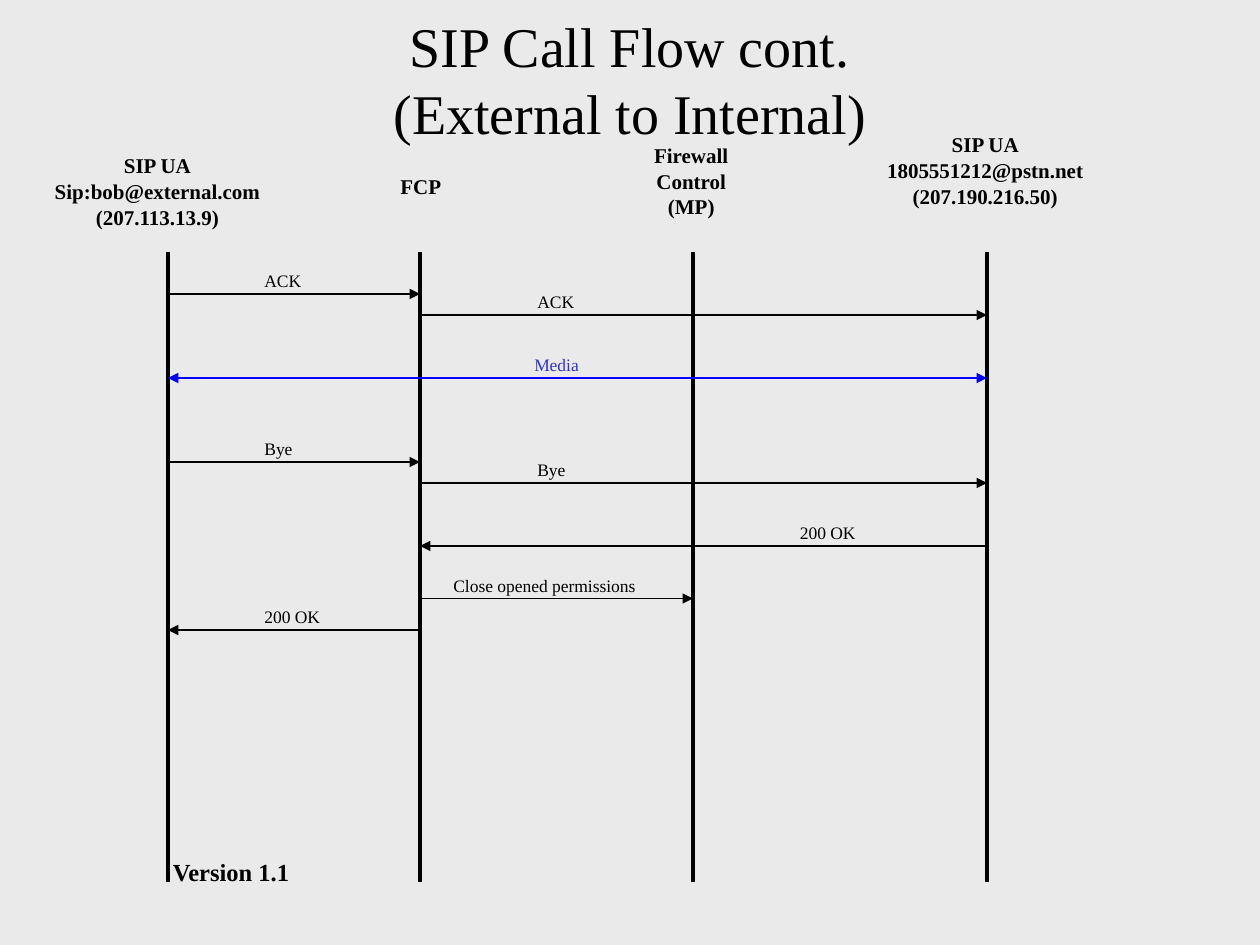
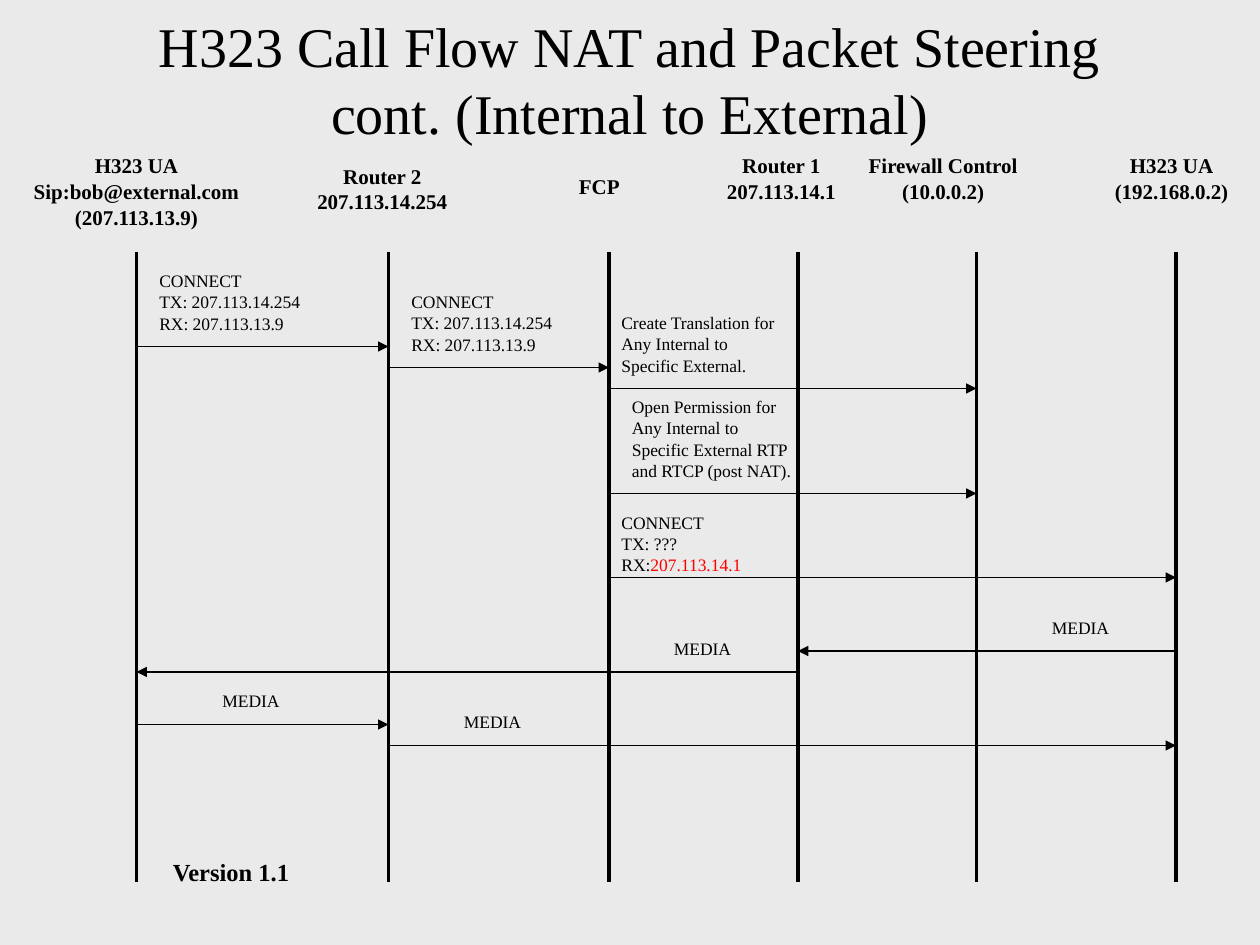
import dataclasses

import lxml.etree
import pptx
import pptx.dml.color
import pptx.enum.shapes
import pptx.enum.text
import pptx.oxml.ns
import pptx.util

Pt = pptx.util.Pt
ALIGN = pptx.enum.text.PP_ALIGN
FIT = pptx.enum.text.MSO_AUTO_SIZE
FONT = "Times New Roman"
PAPER, INK, MEDIA_LINE, MEDIA_TEXT, STEERED = "EAEAEA", "000000", "0000FF", "3333CC", "FF0000"
TITLE_BOX = (0, 0, 720, 90)
HEADING_BOX = (0, 72, 720, 72)
FLOW_BOX = (0, 144, 720, 360)
VERSION_BOX = (18, 486, 228, 36)

TITLE = {"size": Pt(32), "bold": False, "name": FONT}
HEADING = {"size": Pt(12), "bold": True, "name": FONT}
LABEL = {"size": Pt(10), "bold": False, "name": FONT}
VERSION = {"size": Pt(14), "bold": True, "name": FONT}
HEADING_SPACING = {"alignment": ALIGN.CENTER, "line_spacing": 0.5, "space_before": Pt(7.5)}
LABEL_SPACING = {"alignment": ALIGN.LEFT, "line_spacing": 0.5, "space_before": Pt(6.2)}
VERSION_SPACING = {"alignment": ALIGN.CENTER, "space_before": Pt(8.8)}


@dataclasses.dataclass
class Participant:
    """One party of the call: its lifeline and the heading above it."""
    lifeline: float
    left: float
    top: float
    width: float
    text: str


@dataclasses.dataclass
class Message:
    """One arrow between two parties, with its label."""
    sender: int
    receiver: int
    y: float
    left: float
    width: float
    text: str
    rise: float = 12
    wrap: bool = False
    both_ways: bool = False
    line_color: str = INK
    text_color: str = INK
    accent: str = ""
    align: ALIGN = ALIGN.LEFT


def rgb(value):
    """Turn a hex string into a colour."""
    return pptx.dml.color.RGBColor.from_string(value)


def apply(target, formats):
    """Set every attribute named in formats on the target."""
    for name, value in formats.items():
        setattr(target, name, value)


def add_run(paragraph, text, font, color):
    """Add one run of formatted text."""
    run = paragraph.add_run()
    run.text = text
    apply(run.font, font)
    run.font.color.rgb = rgb(color)


def add_text(slide, box, text, font, spacing, color=INK, accent="", wrap=False,
             fit=FIT.SHAPE_TO_FIT_TEXT):
    """Add a text box with one paragraph per line, the accent in its own colour."""
    frame = slide.shapes.add_textbox(*map(Pt, box)).text_frame
    apply(frame, {"word_wrap": wrap, "auto_size": fit})
    for index, line in enumerate(text.split("\n")):
        paragraph = frame.add_paragraph() if index else frame.paragraphs[0]
        apply(paragraph, spacing)
        if accent and accent in line:
            add_run(paragraph, line.replace(accent, ""), font, color)
            add_run(paragraph, accent, font, STEERED)
        else:
            add_run(paragraph, line, font, color)


def add_line(slide, start, end, width, color=INK, head=False, tail=False):
    """Draw a straight line with optional arrowheads."""
    line = slide.shapes.add_connector(
        pptx.enum.shapes.MSO_CONNECTOR.STRAIGHT, *map(Pt, start + end))
    line.line.color.rgb = rgb(color)
    line.line.width = Pt(width)
    properties = line._element.spPr
    for tag, wanted in (("a:headEnd", head), ("a:tailEnd", tail)):
        if wanted:
            lxml.etree.SubElement(
                properties.get_or_add_ln(), pptx.oxml.ns.qn(tag), type="triangle")
    lxml.etree.SubElement(properties, pptx.oxml.ns.qn("a:effectLst"))


def place_title(slide, box, text):
    """Move the title placeholder into its box and fill it."""
    title = slide.shapes.title
    apply(title, dict(zip(("left", "top", "width", "height"), map(Pt, box))))
    apply(title.text_frame, {"word_wrap": True, "auto_size": FIT.NONE,
                             "vertical_anchor": pptx.enum.text.MSO_ANCHOR.MIDDLE})
    paragraph = title.text_frame.paragraphs[0]
    paragraph.alignment = ALIGN.CENTER
    for index, line in enumerate(text.split("\n")):
        if index:
            paragraph.add_line_break()
        add_run(paragraph, line, TITLE, INK)


def place_headings(slide, box, participants):
    """Write the name of each party above its lifeline."""
    left, top = box[:2]
    for party in participants:
        height = 14.6 * len(party.text.split("\n"))
        add_text(slide, (left + party.left, top + party.top, party.width, height),
                 party.text, HEADING, HEADING_SPACING)


def place_flow(slide, box, participants, messages):
    """Draw the lifelines and the messages that run between them."""
    left, top, _, height = box
    columns = [left + party.lifeline for party in participants]
    for x in columns:
        add_line(slide, (x, top), (x, top + height), 2.24)
    for message in messages:
        y = top + message.y
        add_line(slide, (columns[message.sender], y), (columns[message.receiver], y), 0.74,
                 message.line_color, head=message.both_ways, tail=True)
        label_height = 12.25 * len(message.text.split("\n")) + 1.4
        add_text(slide, (left + message.left, y - message.rise, message.width, label_height),
                 message.text, LABEL, LABEL_SPACING | {"alignment": message.align},
                 message.text_color, message.accent, message.wrap)


def build_call_flow(deck, title, participants, messages):
    """Add one call flow slide."""
    slide = deck.slides.add_slide(deck.slide_layouts[5])
    place_title(slide, TITLE_BOX, title)
    place_headings(slide, HEADING_BOX, participants)
    place_flow(slide, FLOW_BOX, participants, messages)
    add_text(slide, VERSION_BOX, "Version 1.1", VERSION, VERSION_SPACING,
             wrap=True, fit=FIT.NONE)


SIP_PARTICIPANTS = [
    Participant(96, 23, 18, 134, "SIP UA\nSip:bob@external.com\n(207.113.13.9)"),
    Participant(240, 221, 30, 39, "FCP"),
    Participant(396, 365.5, 12, 59, "Firewall\nControl\n(MP)"),
    Participant(564, 498.5, 6, 129, "SIP UA\n1805551212@pstn.net\n(207.190.216.50)"),
]
SIP_MESSAGES = [
    Message(0, 1, 24, 144, 38, "ACK", wrap=True),
    Message(1, 3, 36, 300, 38, "ACK", wrap=True),
    Message(0, 3, 72, 294, 48, "Media", wrap=True, both_ways=True, line_color=MEDIA_LINE,
            text_color=MEDIA_TEXT, align=ALIGN.CENTER),
    Message(0, 1, 120, 144, 32, "Bye"),
    Message(1, 3, 132, 300, 32, "Bye"),
    Message(3, 1, 168, 450, 48, "200 OK"),
    Message(1, 2, 198, 252, 130, "Close opened permissions", wrap=True),
    Message(1, 0, 216, 144, 48, "200 OK"),
]

CONNECT = "CONNECT\nTX: 207.113.14.254\nRX: 207.113.13.9"
H323_PARTICIPANTS = [
    Participant(78, 11, 18, 134, "H323 UA\nSip:bob@external.com\n(207.113.13.9)"),
    Participant(222, 173, 24, 91, "Router 2\n207.113.14.254"),
    Participant(348, 323, 30, 39, "FCP"),
    Participant(456, 407, 18, 79, "Router 1\n207.113.14.1"),
    Participant(558, 488, 18, 102, "Firewall Control\n(10.0.0.2)"),
    Participant(672, 628.5, 18, 82, "H323 UA\n(192.168.0.2)"),
]
H323_MESSAGES = [
    Message(0, 1, 54, 84, 97, CONNECT, 42),
    Message(1, 2, 66, 228, 97, CONNECT, 42),
    Message(2, 4, 78, 348, 108,
            "Create Translation for\nAny Internal to\nSpecific External.", 42, wrap=True),
    Message(2, 4, 138, 354, 108,
            "Open Permission for\nAny Internal to\nSpecific External RTP\nand RTCP (post NAT).",
            54, wrap=True),
    Message(2, 5, 186, 348, 85, "CONNECT\nTX: ???\nRX:207.113.14.1", 36,
            accent="207.113.14.1"),
    Message(5, 3, 228, 594, 48, "MEDIA", 18),
    Message(3, 0, 240, 378, 48, "MEDIA", 18),
    Message(0, 1, 270, 120, 48, "MEDIA", 18),
    Message(1, 5, 282, 258, 48, "MEDIA", 18),
]

deck = pptx.Presentation()
apply(deck, {"slide_width": Pt(720), "slide_height": Pt(540)})
paper = deck.slide_master.background.fill
paper.solid()
paper.fore_color.rgb = rgb(PAPER)
build_call_flow(deck, "SIP Call Flow cont.\n(External to Internal)",
                SIP_PARTICIPANTS, SIP_MESSAGES)
build_call_flow(deck, "H323 Call Flow NAT and Packet Steering\ncont. (Internal to External)",
                H323_PARTICIPANTS, H323_MESSAGES)
deck.save("out.pptx")
